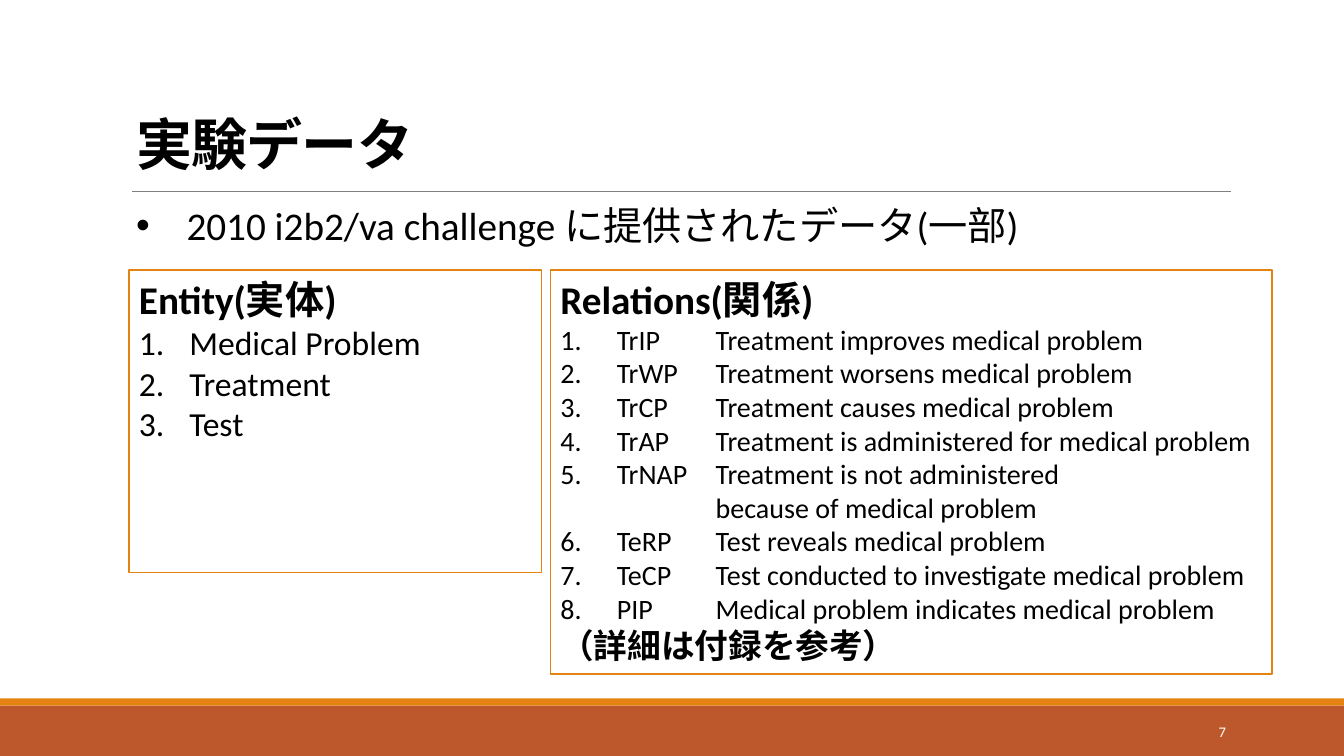
import pptx
import pptx.util
import pptx.dml.color
import pptx.enum.shapes
import pptx.enum.text
import pptx.oxml
import pptx.oxml.ns

Inches = pptx.util.Inches
Pt = pptx.util.Pt
ALIGN = pptx.enum.text.PP_ALIGN
ANCHOR = pptx.enum.text.MSO_ANCHOR
ORANGE = "E48312"


def color(value):
    return pptx.dml.color.RGBColor.from_string(value)


def add_xml(parent, tag, **attrs):
    el = pptx.oxml.parse_xml(f"<{tag} {pptx.oxml.ns.nsdecls('a')}/>")
    for key, value in attrs.items():
        el.set(key, str(value))
    parent.append(el)
    return el


def write(tf, text, size=20, bold=False, fill="000000", align=ALIGN.LEFT,
          bullet=None, indent=0, tab=None, spacing=1.0, track=0, first=False):
    p = tf.paragraphs[0] if first else tf.add_paragraph()
    p.alignment = align
    p.line_spacing = spacing
    p.space_before = p.space_after = Pt(0)
    pPr = p._p.get_or_add_pPr()
    pPr.set("marL", str(Inches(indent)))
    pPr.set("indent", str(-Inches(indent)))
    if bullet == "number":
        add_xml(pPr, "a:buFont", typeface="+mj-lt")
        add_xml(pPr, "a:buAutoNum", type="arabicPeriod")
    elif bullet:
        add_xml(pPr, "a:buFont", typeface="Arial")
        add_xml(pPr, "a:buChar", char=bullet)
    else:
        add_xml(pPr, "a:buNone")
    if tab:
        tabs = add_xml(pPr, "a:tabLst")
        add_xml(tabs, "a:tab", pos=Inches(tab), algn="l")
    for i, line in enumerate(text.split("\n")):
        if i:
            p.add_line_break()
        r = p.add_run()
        r.text = line
        r.font.size = Pt(size)
        r.font.bold = bold
        r.font.color.rgb = color(fill)
        r.font.name = "Calibri"
        rPr = r._r.get_or_add_rPr()
        add_xml(rPr, "a:ea", typeface="Noto Sans CJK JP")
        if track:
            rPr.set("spc", str(int(track * 100)))


class Deck:
    def __init__(self):
        self.prs = pptx.Presentation()
        self.prs.slide_width = Inches(13.33)
        self.prs.slide_height = Inches(7.5)
        self.s = self.prs.slides.add_slide(self.prs.slide_layouts[1])

    def frame(self, sp, anchor=ANCHOR.TOP):
        tf = sp.text_frame
        tf.word_wrap = True
        tf.auto_size = pptx.enum.text.MSO_AUTO_SIZE.NONE
        tf.vertical_anchor = anchor
        return tf

    def placeholder(self, idx, x, y, w, h, anchor=ANCHOR.TOP):
        sp = self.s.placeholders[idx]
        sp.left, sp.top, sp.width, sp.height = map(Inches, (x, y, w, h))
        return self.frame(sp, anchor)

    def textbox(self, x, y, w, h, anchor=ANCHOR.TOP):
        sp = self.s.shapes.add_textbox(*map(Inches, (x, y, w, h)))
        return self.frame(sp, anchor)

    def rect(self, x, y, w, h, fill=None, line=None):
        sp = self.s.shapes.add_shape(
            pptx.enum.shapes.MSO_SHAPE.RECTANGLE, *map(Inches, (x, y, w, h)))
        sp.shadow.inherit = False
        if fill:
            sp.fill.solid()
            sp.fill.fore_color.rgb = color(fill)
        else:
            sp.fill.background()
        if line:
            sp.line.color.rgb = color(line)
            sp.line.width = Pt(1.25)
        else:
            sp.line.fill.background()
        return self.frame(sp)

    def rule(self, x1, x2, y):
        cn = self.s.shapes.add_connector(
            pptx.enum.shapes.MSO_CONNECTOR.STRAIGHT, *map(Inches, (x1, y, x2, y)))
        cn.line.color.rgb = color("808080")
        cn.line.width = Pt(0.5)
        add_xml(cn._element.spPr, "a:effectLst")

    def panel(self, x, y, w, h, heading, items, size, indent, tab=None, fill=None):
        tf = self.rect(x, y, w, h, fill, ORANGE)
        write(tf, heading, size=28, bold=True, first=True)
        for item in items:
            write(tf, item, size=size, bullet="number", indent=indent, tab=tab)
        return tf


ENTITIES = ["Medical Problem", "Treatment", "Test"]
RELATIONS = [
    ("TrIP", "Treatment improves medical problem"),
    ("TrWP", "Treatment worsens medical problem"),
    ("TrCP", "Treatment causes medical problem"),
    ("TrAP", "Treatment is administered for medical problem"),
    ("TrNAP", "Treatment is not administered\n\tbecause of medical problem"),
    ("TeRP", "Test reveals medical problem"),
    ("TeCP", "Test conducted to investigate medical problem"),
    ("PIP", "Medical problem indicates medical problem"),
]


def main():
    deck = Deck()
    deck.rect(0, 7, 13.33, 0.5, "BD582C")
    deck.rect(0, 6.93, 13.33, 0.07, ORANGE)
    deck.rule(1.31, 12.21, 1.9)

    title = deck.placeholder(0, 1.25, 0.41, 9.75, 1.4, ANCHOR.BOTTOM)
    write(title, "実験データ", size=40, bold=True, spacing=0.85, track=-0.5, first=True)
    body = deck.placeholder(1, 1.25, 1.95, 11.12, 0.91)
    write(body, "2010 i2b2/va challenge に提供されたデータ(一部)", size=28,
          bullet="•", indent=0.5, first=True)

    deck.panel(1.28, 2.68, 4.09, 3, "Entity(実体)", ENTITIES, 24, 0.5, fill="FFFFFF")
    rows = [f"{code}\t{meaning}" for code, meaning in RELATIONS]
    relations = deck.panel(5.46, 2.68, 7.16, 4.01, "Relations(関係)", rows, 20, 0.56, tab=1.54)
    write(relations, "（詳細は付録を参考）", size=24, bold=True)

    number = deck.textbox(10.83, 7.06, 1.43, 0.4, ANCHOR.MIDDLE)
    write(number, "7", size=10.5, fill="FFFFFF", align=ALIGN.RIGHT, first=True)
    deck.prs.save("out.pptx")


if __name__ == "__main__":
    main()
